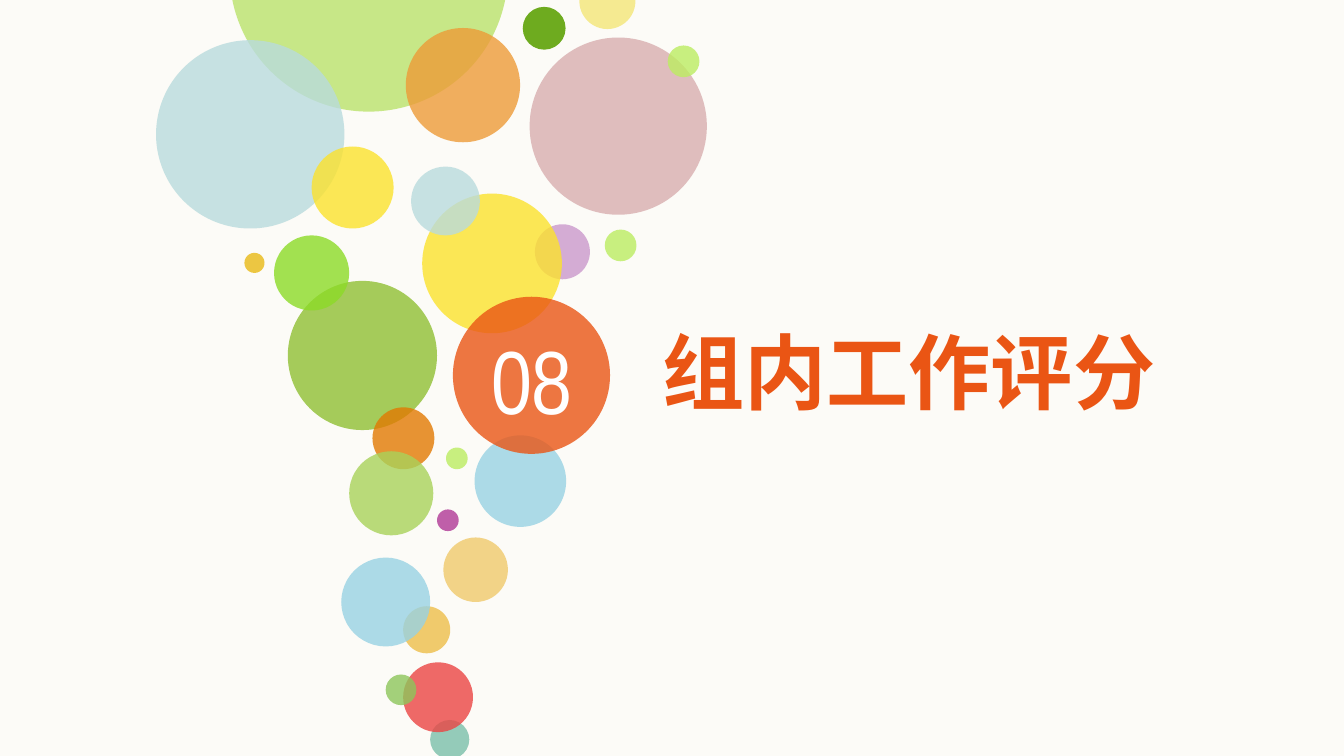
from lxml.etree import SubElement
from pptx import Presentation
from pptx.dml.color import RGBColor
from pptx.enum.shapes import MSO_SHAPE
from pptx.enum.text import MSO_ANCHOR, PP_ALIGN
from pptx.oxml.ns import qn
from pptx.util import Cm, Pt

THEME = {
    "paper": "FCFBF7", "white": "FFFFFF", "flame": "EA5514",
    "spring": "BAE36B", "forest": "6EAB1F", "mist": "B9DBDD",
    "orange": "ED9B38", "cream": "F5EA91", "rose": "D8AEAF",
    "leaf": "A5CB5A", "lime": "BCED61", "lilac": "CB99CC",
    "yellow": "FBE22D", "grass": "8CDB27", "gold": "E9B915",
    "plum": "B03896", "sand": "F0CA6C", "amber": "F0CA6C",
    "teal": "7BBFAA", "red": "EB4544", "fern": "8DC65B",
    "sky": "98D2E3", "rust": "E27902", "moss": "A9D25A",
    "alpha": 80, "solid": {"forest", "cream", "leaf", "amber"},
    "number": 48, "title": 44,
}

# left, top, diameter in cm, colour; from back to front
BUBBLES = [
    (4.34, -3.15, 5.26, "spring"),
    (9.88, 0.13, 0.81, "forest"),
    (2.95, 0.76, 3.56, "mist"),
    (7.67, 0.53, 2.16, "orange"),
    (10.95, -0.51, 1.06, "cream"),
    (10.01, 0.71, 3.35, "rose"),
    (5.44, 5.31, 2.82, "leaf"),
    (12.62, 0.86, 0.6, "lime"),
    (11.43, 4.34, 0.6, "lime"),
    (10.11, 4.24, 1.04, "lilac"),
    (7.98, 3.66, 2.64, "yellow"),
    (5.89, 2.77, 1.55, "yellow"),
    (5.18, 4.45, 1.42, "grass"),
    (4.62, 4.78, 0.38, "gold"),
    (8.43, 8.46, 0.41, "lime"),
    (8.26, 9.63, 0.41, "plum"),
    (8.38, 10.16, 1.22, "sand"),
    (7.62, 11.46, 0.89, "amber"),
    (8.13, 13.61, 0.74, "teal"),
    (7.62, 12.52, 1.32, "red"),
    (7.29, 12.75, 0.58, "fern"),
    (6.45, 10.54, 1.68, "sky"),
    (7.77, 3.15, 1.3, "mist"),
    (8.97, 8.23, 1.73, "sky"),
    (7.04, 7.7, 1.17, "rust"),
    (6.6, 8.53, 1.59, "moss"),
    (8.56, 5.61, 2.97, "flame"),
]

# text, box in cm, alignment, size, face, colour, bold
LABELS = [
    ("08", (9.04, 6.15, 2.03, 2.06), PP_ALIGN.CENTER,
     "number", "Arial Narrow", "white", False),
    ("组内工作评分", (12.52, 6.07, 11.38, 1.88), PP_ALIGN.LEFT,
     "title", "Noto Sans CJK SC", "flame", True),
]


def tint(name):
    return RGBColor.from_string(THEME[name])


def bubble(slide, left, top, size, name):
    dot = slide.shapes.add_shape(
        MSO_SHAPE.OVAL, Cm(left), Cm(top), Cm(size), Cm(size))
    dot.shadow.inherit = False
    dot.line.fill.background()
    dot.fill.solid()
    dot.fill.fore_color.rgb = tint(name)
    if name not in THEME["solid"]:
        color = dot.fill._xPr.find(".//" + qn("a:srgbClr"))
        SubElement(color, qn("a:alpha"), val=str(THEME["alpha"] * 1000))


def label(slide, text, box, align, size, face, name, bold):
    frame = slide.shapes.add_textbox(*map(Cm, box)).text_frame
    style = {"word_wrap": True, "vertical_anchor": MSO_ANCHOR.TOP,
             "margin_left": 0, "margin_top": 0,
             "margin_right": 0, "margin_bottom": 0}
    for key, value in style.items():
        setattr(frame, key, value)
    line = frame.paragraphs[0]
    line.alignment = align
    run = line.add_run()
    run.text = text
    for key, value in {"size": Pt(THEME[size]), "name": face,
                       "bold": bold}.items():
        setattr(run.font, key, value)
    run.font.color.rgb = tint(name)
    SubElement(run.font._element, qn("a:ea"), typeface=face)


def main():
    deck = Presentation()
    deck.slide_width, deck.slide_height = Cm(25.4), Cm(14.29)
    slide = deck.slides.add_slide(deck.slide_layouts[6])
    slide.background.fill.solid()
    slide.background.fill.fore_color.rgb = tint("paper")
    for item in BUBBLES:
        bubble(slide, *item)
    for item in LABELS:
        label(slide, *item)
    deck.save("out.pptx")


if __name__ == "__main__":
    main()
